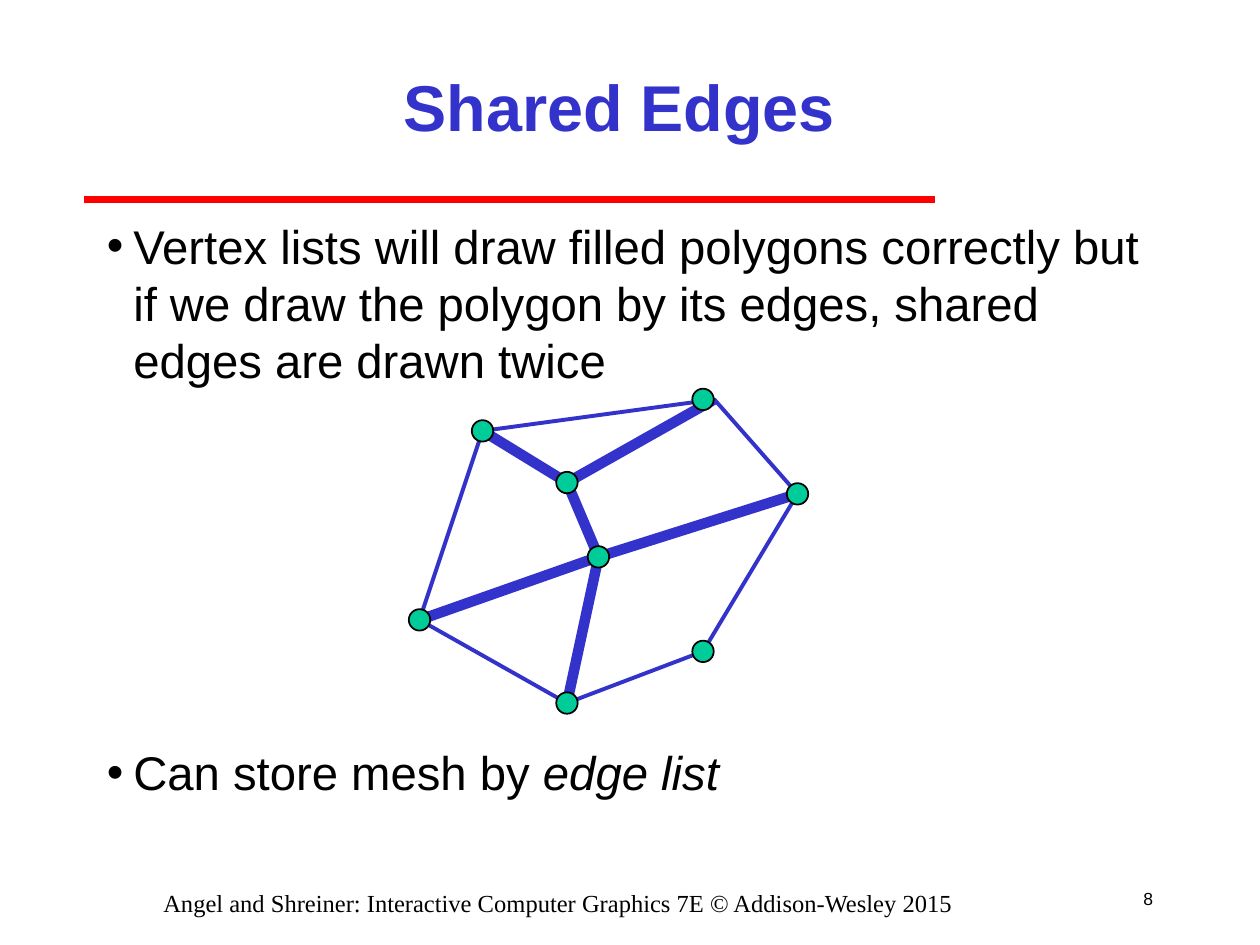
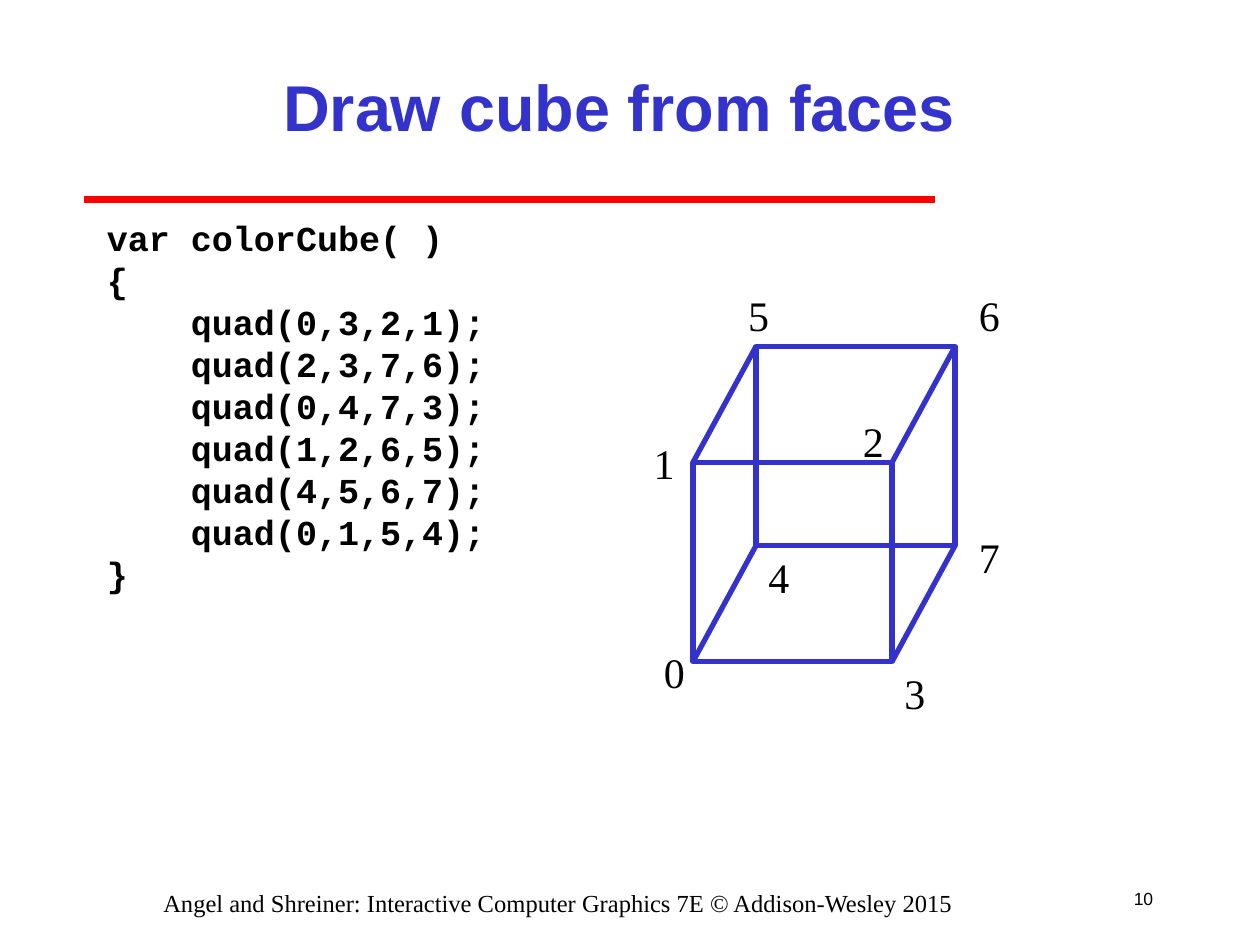
from dataclasses import dataclass

from lxml import etree
from pptx import Presentation, util as u
from pptx.dml.color import RGBColor
from pptx.enum import shapes, text
from pptx.oxml import ns

BLUE = RGBColor(0x33, 0x33, 0xCC)
RED = RGBColor(0xFF, 0x00, 0x00)
GREEN = RGBColor(0x00, 0xCC, 0x99)
BLACK = RGBColor(0x00, 0x00, 0x00)

FOOTER = "Angel and Shreiner: Interactive Computer Graphics 7E © Addison-Wesley 2015"
BODY_AREA = (0.75, 1.67, 8.5, 5.17)
HANGING = 0.21
Point = tuple[float, float]


@dataclass(frozen=True)
class Style:
    font: str
    size: float
    color: RGBColor = BLACK
    bold: bool = False
    align: text.PP_ALIGN = text.PP_ALIGN.LEFT
    leading: float | None = None
    bullet: bool = False


@dataclass(frozen=True)
class Span:
    words: str
    italic: bool = False


@dataclass(frozen=True)
class Para:
    spans: list[Span]
    space_before: float = 0


@dataclass(frozen=True)
class Label:
    words: str
    left: float
    top: float


TITLE = Style("Arial", 37, BLUE, bold=True, align=text.PP_ALIGN.CENTER)
BODY = Style("Arial", 27, leading=32.6, bullet=True)
CODE = Style("Courier New", 20, bold=True, leading=24)
NUMBER = Style("Arial", 10, align=text.PP_ALIGN.RIGHT)
SOURCE = Style("Times New Roman", 14, align=text.PP_ALIGN.CENTER)
CORNER = Style("Times New Roman", 24)


# Drawing helpers
def add_text(slide, area: tuple, paras: list[Para], style: Style,
             anchor=text.MSO_ANCHOR.TOP) -> None:
    frame = slide.shapes.add_textbox(*map(u.Inches, area)).text_frame
    frame.word_wrap = True
    frame.vertical_anchor = anchor
    for index, para in enumerate(paras):
        paragraph = frame.paragraphs[0] if index == 0 else frame.add_paragraph()
        if style.bullet:
            add_bullet(paragraph)
        paragraph.alignment = style.align
        if style.leading:
            paragraph.line_spacing = u.Pt(style.leading)
        if para.space_before:
            paragraph.space_before = u.Pt(para.space_before)
        for span in para.spans:
            run = paragraph.add_run()
            run.text = span.words
            run.font.name = style.font
            run.font.size = u.Pt(style.size)
            run.font.bold = style.bold
            run.font.italic = span.italic
            run.font.color.rgb = style.color


def add_line_of_text(slide, area: tuple, words: str, style: Style,
                     anchor=text.MSO_ANCHOR.TOP) -> None:
    add_text(slide, area, [Para([Span(words)])], style, anchor)


def add_bullet(paragraph) -> None:
    properties = paragraph._p.get_or_add_pPr()
    properties.set("marL", str(u.Inches(HANGING)))
    properties.set("indent", str(-u.Inches(HANGING)))
    etree.SubElement(properties, ns.qn("a:buFont"), typeface="Arial")
    etree.SubElement(properties, ns.qn("a:buChar"), char="•")


def add_line(parent, start: Point, end: Point, color: RGBColor, width: float) -> None:
    line = parent.shapes.add_connector(
        shapes.MSO_CONNECTOR.STRAIGHT, *map(u.Inches, start + end))
    line.line.color.rgb = color
    line.line.width = u.Pt(width)
    etree.SubElement(line._element.spPr, ns.qn("a:effectLst"))


def paint(shape, fill: RGBColor | None, outline: RGBColor, width: float) -> None:
    shape.shadow.inherit = False
    if fill is None:
        shape.fill.background()
    else:
        shape.fill.solid()
        shape.fill.fore_color.rgb = fill
    shape.line.color.rgb = outline
    shape.line.width = u.Pt(width)


def add_slide(deck, title: str, number: int):
    """Start a slide with the shared title, rule, number and footer."""
    slide = deck.slides.add_slide(deck.slide_layouts[6])
    add_line(slide, (0.67, 1.58), (7.42, 1.58), RED, 4)
    add_line_of_text(slide, (1.5, 0.25, 6.83, 1.17), title, TITLE, text.MSO_ANCHOR.MIDDLE)
    add_line_of_text(slide, (8.83, 6.92, 0.42, 0.42), str(number), NUMBER,
                     text.MSO_ANCHOR.MIDDLE)
    add_line_of_text(slide, (0.47, 7, 7.92, 0.33), FOOTER, SOURCE)
    return slide


# Mesh with its shared edges drawn thick
def add_mesh(slide) -> None:
    west, northwest, north, east = (3.33, 4.92), (3.83, 3.42), (5.67, 3.17), (6.33, 3.92)
    southeast, south = (5.58, 5.17), (4.5, 5.58)
    hub, upper_hub = (4.75, 4.42), (4.5, 3.83)
    north_dot = (5.58, 3.17)
    dot_size = 0.17
    mesh = slide.shapes.add_group_shape()

    outline = [(u.Inches(x), u.Inches(y))
               for x, y in (west, northwest, north, east, southeast, south)]
    builder = mesh.shapes.build_freeform(*outline[0])
    builder.add_line_segments(outline[1:], close=True)
    paint(builder.convert_to_shape(), None, BLUE, 2.25)

    shared_edges = [(west, hub), (hub, south), (hub, east), (hub, upper_hub),
                    (upper_hub, north), (upper_hub, northwest)]
    for start, end in shared_edges:
        add_line(mesh, start, end, BLUE, 6)
    for x, y in (west, northwest, hub, south, southeast, upper_hub, east, north_dot):
        dot = mesh.shapes.add_shape(
            shapes.MSO_SHAPE.OVAL, u.Inches(x - dot_size / 2), u.Inches(y - dot_size / 2),
            u.Inches(dot_size), u.Inches(dot_size))
        paint(dot, GREEN, BLACK, 1)


# Wireframe cube with numbered corners
def add_cube(slide) -> None:
    side = 1.58
    front, back = (5.5, 3.67), (6, 2.75)
    cube = slide.shapes.add_group_shape()
    for left, top in (front, back):
        face = cube.shapes.add_shape(
            shapes.MSO_SHAPE.RECTANGLE, *map(u.Inches, (left, top, side, side)))
        paint(face, None, BLUE, 3)
    for across in (0, side):
        for down in (0, side):
            add_line(cube, (back[0] + across, back[1] + down),
                     (front[0] + across, front[1] + down), BLUE, 3)

    labels = [Label("0", 5.17, 5.08), Label("1", 5.09, 3.42), Label("2", 6.75, 3.25),
              Label("3", 7.08, 5.25), Label("4", 6, 4.33), Label("5", 5.84, 2.25),
              Label("6", 7.67, 2.25), Label("7", 7.67, 4.17)]
    for label in labels:
        add_line_of_text(slide, (label.left, label.top, 0.4, 0.5), label.words, CORNER)


def build_shared_edges(deck) -> None:
    slide = add_slide(deck, "Shared Edges", 8)
    add_text(slide, BODY_AREA, [
        Para([Span("Vertex lists will draw filled polygons correctly but if we draw "
                   "the polygon by its edges, shared edges are drawn twice")]),
        Para([Span("Can store mesh by "), Span("edge list", italic=True)], space_before=203),
    ], BODY)
    add_mesh(slide)


def build_cube_faces(deck) -> None:
    slide = add_slide(deck, "Draw cube from faces", 10)
    faces = ["0,3,2,1", "2,3,7,6", "0,4,7,3", "1,2,6,5", "4,5,6,7", "0,1,5,4"]
    code = ["var colorCube( )", "{", *(f"    quad({face});" for face in faces), "}"]
    add_text(slide, BODY_AREA, [Para([Span(line)]) for line in code], CODE)
    add_cube(slide)


def main() -> None:
    deck = Presentation()
    deck.slide_width, deck.slide_height = u.Inches(10), u.Inches(7.5)
    build_shared_edges(deck)
    build_cube_faces(deck)
    deck.save("out.pptx")


if __name__ == "__main__":
    main()
